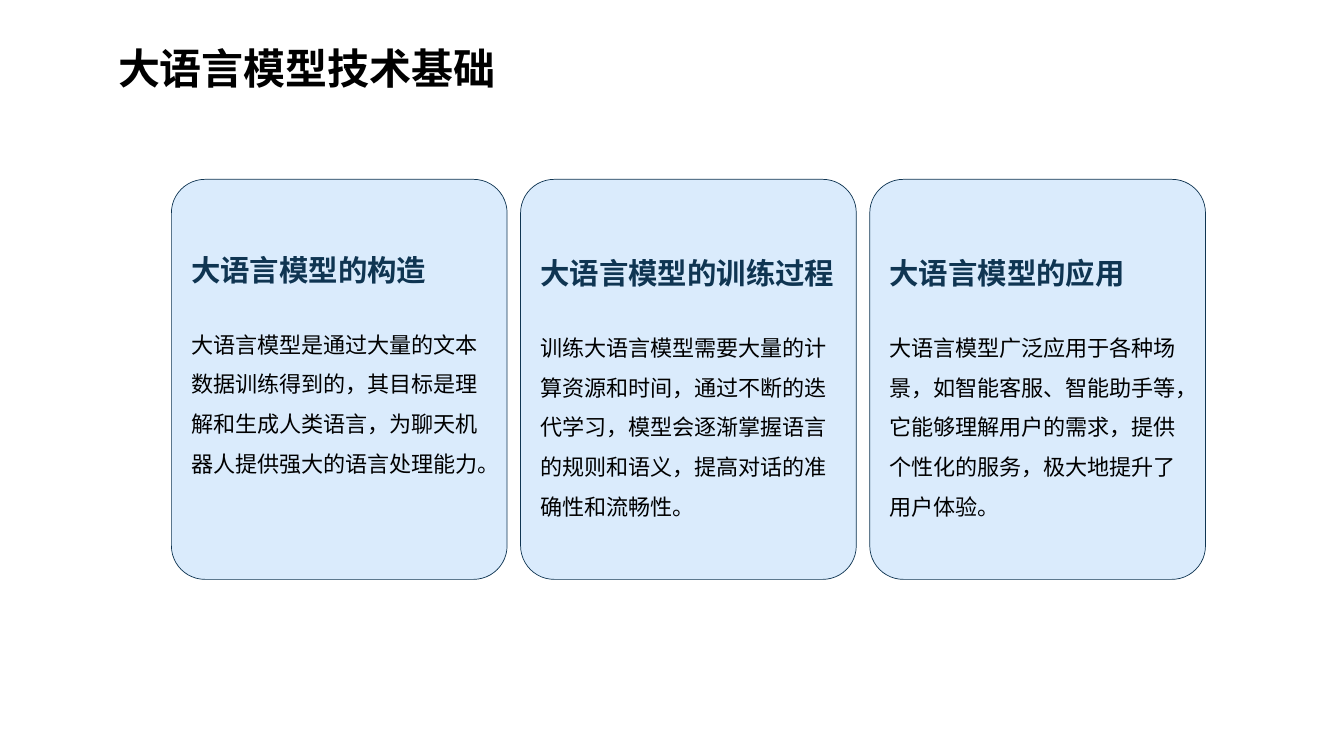
from dataclasses import dataclass

from lxml import etree
from pptx import Presentation
from pptx.dml.color import RGBColor
from pptx.enum.shapes import MSO_SHAPE
from pptx.enum.text import MSO_ANCHOR, PP_ALIGN
from pptx.oxml.ns import qn
from pptx.slide import Slide
from pptx.util import Cm, Pt

ROUNDED = MSO_SHAPE.ROUNDED_RECTANGLE
TOP, MIDDLE = MSO_ANCHOR.TOP, MSO_ANCHOR.MIDDLE
LEFT = PP_ALIGN.LEFT
TITLE_ONLY = 5


@dataclass(frozen=True)
class Theme:
    font: str = "Noto Sans CJK SC"
    black: RGBColor = RGBColor(0x00, 0x00, 0x00)
    navy: RGBColor = RGBColor(0x0F, 0x35, 0x52)
    pale_blue: RGBColor = RGBColor(0xDA, 0xEB, 0xFC)
    title_size: float = 30
    heading_size: float = 21
    body_size: float = 15.75
    line_spacing: float = 1.5
    heading_gap: float = 22


@dataclass(frozen=True)
class Card:
    heading: str
    body: str
    inset_top: float


THEME = Theme()
TITLE = "大语言模型技术基础"
CARDS = [
    Card("大语言模型的构造",
         "大语言模型是通过大量的文本数据训练得到的，其目标是理解和生成人类语言，"
         "为聊天机器人提供强大的语言处理能力。", 1.58),
    Card("大语言模型的训练过程",
         "训练大语言模型需要大量的计算资源和时间，通过不断的迭代学习，"
         "模型会逐渐掌握语言的规则和语义，提高对话的准确性和流畅性。", 1.66),
    Card("大语言模型的应用",
         "大语言模型广泛应用于各种场景，如智能客服、智能助手等，它能够理解用户的需求，"
         "提供个性化的服务，极大地提升了用户体验。", 1.66),
]
CARD_LEFT, CARD_TOP = 4.32, 4.52
CARD_WIDTH, CARD_HEIGHT = 8.46, 10.08
CARD_PITCH = 8.8


def format_paragraph(para, size: float, color: RGBColor, bold: bool) -> None:
    """Set alignment and the Latin and East Asian type of every run."""
    para.alignment = LEFT
    for span in para.runs:
        span.font.name = THEME.font
        span.font.size = Pt(size)
        span.font.bold = bold
        span.font.color.rgb = color
        properties = span.font._element
        properties.set("lang", "zh-CN")
        east_asian = etree.SubElement(properties, qn("a:ea"))
        east_asian.set("typeface", THEME.font)


def add_title(page: Slide) -> None:
    title = page.shapes.title
    title.left, title.top = Cm(2.72), Cm(0.3)
    title.width, title.height = Cm(26.04), Cm(2.16)
    frame = title.text_frame
    frame.text = TITLE
    frame.vertical_anchor = MIDDLE
    para = frame.paragraphs[0]
    para.line_spacing = THEME.line_spacing
    format_paragraph(para, THEME.title_size, THEME.black, True)


def add_card(page: Slide, card: Card, left: float) -> None:
    box = page.shapes.add_shape(
        ROUNDED, Cm(left), Cm(CARD_TOP), Cm(CARD_WIDTH), Cm(CARD_HEIGHT))
    box.adjustments[0] = 0.1
    box.shadow.inherit = False
    box.fill.solid()
    box.fill.fore_color.rgb = THEME.pale_blue
    box.line.color.rgb = THEME.navy
    box.line.width = Pt(0.5)

    frame = box.text_frame
    frame.word_wrap = True
    frame.vertical_anchor = TOP
    frame.margin_top = Cm(card.inset_top)
    frame.text = f"{card.heading}\n{card.body}"
    heading, body = frame.paragraphs
    heading.space_after = Pt(THEME.heading_gap)
    body.line_spacing = THEME.line_spacing
    format_paragraph(heading, THEME.heading_size, THEME.navy, True)
    format_paragraph(body, THEME.body_size, THEME.black, False)


def main() -> None:
    deck = Presentation()
    deck.slide_width, deck.slide_height = Cm(33.87), Cm(19.05)
    page = deck.slides.add_slide(deck.slide_layouts[TITLE_ONLY])
    add_title(page)
    for index, card in enumerate(CARDS):
        add_card(page, card, CARD_LEFT + index * CARD_PITCH)
    deck.save("out.pptx")


if __name__ == "__main__":
    main()
